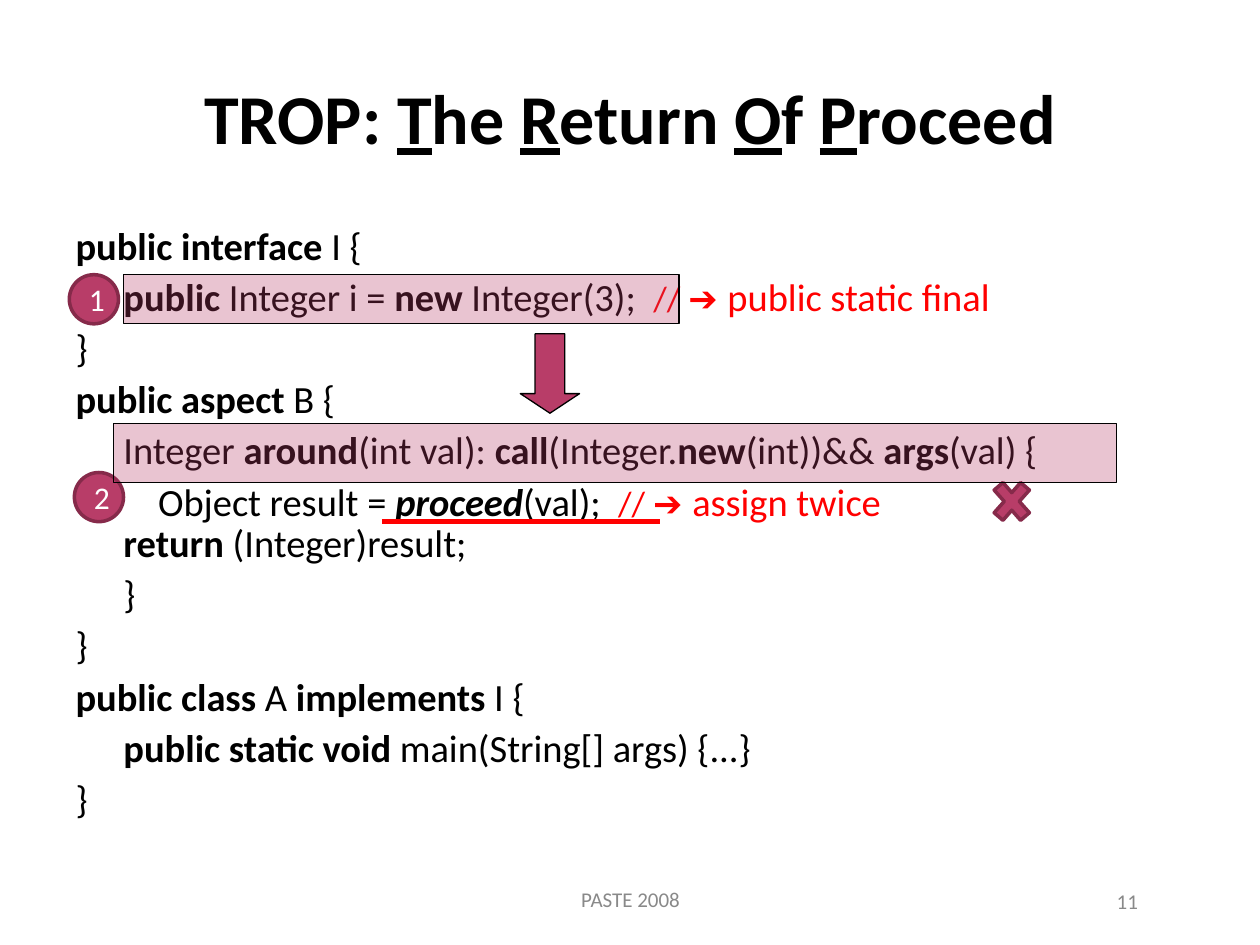
from lxml import etree
from pptx import Presentation
from pptx.dml.color import RGBColor
from pptx.enum.shapes import MSO_CONNECTOR, MSO_SHAPE as Shape
from pptx.enum.text import MSO_ANCHOR as Anchor, MSO_AUTO_SIZE as Auto, PP_ALIGN as Align
from pptx.oxml.ns import qn
from pptx.util import Inches, Pt

BLACK = RGBColor(0x00, 0x00, 0x00)
WHITE = RGBColor(0xFF, 0xFF, 0xFF)
GRAY = RGBColor(0x89, 0x89, 0x89)
RED = RGBColor(0xFF, 0x00, 0x00)
ROSE = RGBColor(0xB8, 0x3D, 0x68)
WINE = RGBColor(0x86, 0x2A, 0x4A)

BOLD = {"bold": True}
MARK = {"size": 20, "color": RED}
ARROW = {"size": 20, "color": RED, "font": "Arial"}
NOTE = {"color": RED}
LINK = {"underline": True}

TITLE = ["TROP: ", ("T", LINK), "he ", ("R", LINK), "eturn ", ("O", LINK), "f ",
         ("P", LINK), "roceed"]

# Each line of code: indent level, then its runs
CODE = [
    (0, [("public interface", BOLD), " I {"]),
    (1, [("public ", BOLD), "Integer i = ", ("new", BOLD), " Integer(3);  ",
         ("// ", MARK), ("➔ ", ARROW), ("public static final", NOTE)]),
    (0, ["}"]),
    (0, [("public aspect", BOLD), " B {"]),
    (1, ["Integer ", ("around", BOLD), "(int val): ", ("call", BOLD), "(Integer.",
         ("new", BOLD), "(int))&& ", ("args", BOLD), "(val) {"]),
    (1, ["    Object result = ", ("proceed", {"bold": True, "italic": True}), "(val);  ",
         ("// ", MARK), ("➔ ", ARROW), ("assign twice", NOTE), "\n",
         ("return", BOLD), " (Integer)result;"]),
    (1, ["}"]),
    (0, ["}"]),
    (0, [("public class", BOLD), " A ", ("implements", BOLD), " I {"]),
    (1, [("public static void", BOLD), " main(String[] args) {...}"]),
    (0, ["}"]),
]
STEP = 0.38

BADGES = [("1", 0.55, 2.18), ("2", 0.59, 3.75)]
BANDS = [(0.98, 2.18, 4.41, 0.39), (0.9, 3.36, 7.96, 0.47)]
FOOTS = [("PASTE 2008", (3.42, 6.94, 3.17, 0.4), Align.CENTER),
         ("11", (6.8, 6.95, 2.33, 0.4), Align.RIGHT)]
CROSS = (8.03, 3.98)
HALF = [(-0.14, -0.09), (-0.07, -0.15), (0, -0.07), (0.07, -0.15), (0.14, -0.09), (0.06, 0)]


def place(item, box):
    item.left, item.top, item.width, item.height = map(Inches, box)


def write(para, runs, align=Align.LEFT, **base):
    """Fill a paragraph with runs: plain strings, or (text, format) pairs."""
    para.alignment = align
    for part in runs:
        text, extra = (part, {}) if isinstance(part, str) else part
        if text == "\n":
            para.add_line_break()
            continue
        look = {"size": 22, "color": BLACK, "font": "Calibri", "bold": False,
                "italic": False, "underline": False, **base, **extra}
        run = para.add_run()
        run.text = text
        font = run.font
        font.name, font.size = look["font"], Pt(look["size"])
        font.bold, font.italic = look["bold"], look["italic"]
        font.underline = look["underline"]
        font.color.rgb = look["color"]


def paint(item, line, width, alpha=None):
    item.shadow.inherit = False
    item.fill.solid()
    item.fill.fore_color.rgb = ROSE
    item.line.color.rgb = line
    item.line.width = Pt(width)
    if alpha:
        color = item.fill._xPr.find(qn("a:solidFill"))[0]
        etree.SubElement(color, qn("a:alpha")).set("val", str(alpha * 1000))


def add_shape(shapes, kind, box, line, width, alpha=None):
    item = shapes.add_shape(kind, *map(Inches, box))
    paint(item, line, width, alpha)
    return item


def add_code(body):
    place(body, (0.5, 1.75, 8.83, 4.95))
    frame = body.text_frame
    frame.auto_size = Auto.NONE
    for i, (level, runs) in enumerate(CODE):
        para = frame.add_paragraph() if i else frame.paragraphs[0]
        props = para._p.get_or_add_pPr()
        props.set("marL", str(Inches(STEP * level)))
        props.set("indent", "0")
        etree.SubElement(props, qn("a:buNone"))
        para.line_spacing = 0.9
        para.space_before = Pt(5.5 if i else 0)
        write(para, runs)


def add_cross(shapes):
    x, y = CROSS
    points = HALF + [(-dx, -dy) for dx, dy in HALF]
    dots = [(Inches(x + dx), Inches(y + dy)) for dx, dy in points]
    pen = shapes.build_freeform(*dots[0])
    pen.add_line_segments(dots[1:], close=True)
    paint(pen.convert_to_shape(), WINE, 2)


def main():
    deck = Presentation()
    deck.slide_width, deck.slide_height = Inches(10), Inches(7.5)
    slide = deck.slides.add_slide(deck.slide_layouts[1])
    shapes = slide.shapes

    title = shapes.title
    place(title, (0.5, 0.3, 9, 1.25))
    title.text_frame.auto_size = Auto.NONE
    title.text_frame.vertical_anchor = Anchor.MIDDLE
    write(title.text_frame.paragraphs[0], TITLE, Align.CENTER, size=40, bold=True)
    add_code(slide.placeholders[1])

    for text, box, align in FOOTS:
        frame = shapes.add_textbox(*map(Inches, box)).text_frame
        frame.word_wrap = True
        frame.vertical_anchor = Anchor.MIDDLE
        write(frame.paragraphs[0], [text], align, size=12, color=GRAY)

    for text, x, y in BADGES:
        badge = add_shape(shapes, Shape.OVAL, (x, y, 0.39, 0.39), WINE, 2)
        badge.text_frame.vertical_anchor = Anchor.MIDDLE
        write(badge.text_frame.paragraphs[0], [text], Align.CENTER, size=18, color=WHITE)

    add_cross(shapes)
    for box in BANDS:
        add_shape(shapes, Shape.RECTANGLE, box, BLACK, 0.75, alpha=30)
    arrow = add_shape(shapes, Shape.DOWN_ARROW, (4.13, 2.65, 0.47, 0.63), BLACK, 0.75)
    arrow.adjustments[1] = 0.33

    rule = shapes.add_connector(MSO_CONNECTOR.STRAIGHT, *map(Inches, (3.03, 4.14, 5.24, 4.14)))
    rule.line.color.rgb = RED
    rule.line.width = Pt(3)
    etree.SubElement(rule._element.spPr, qn("a:effectLst"))

    deck.save("out.pptx")


if __name__ == "__main__":
    main()
